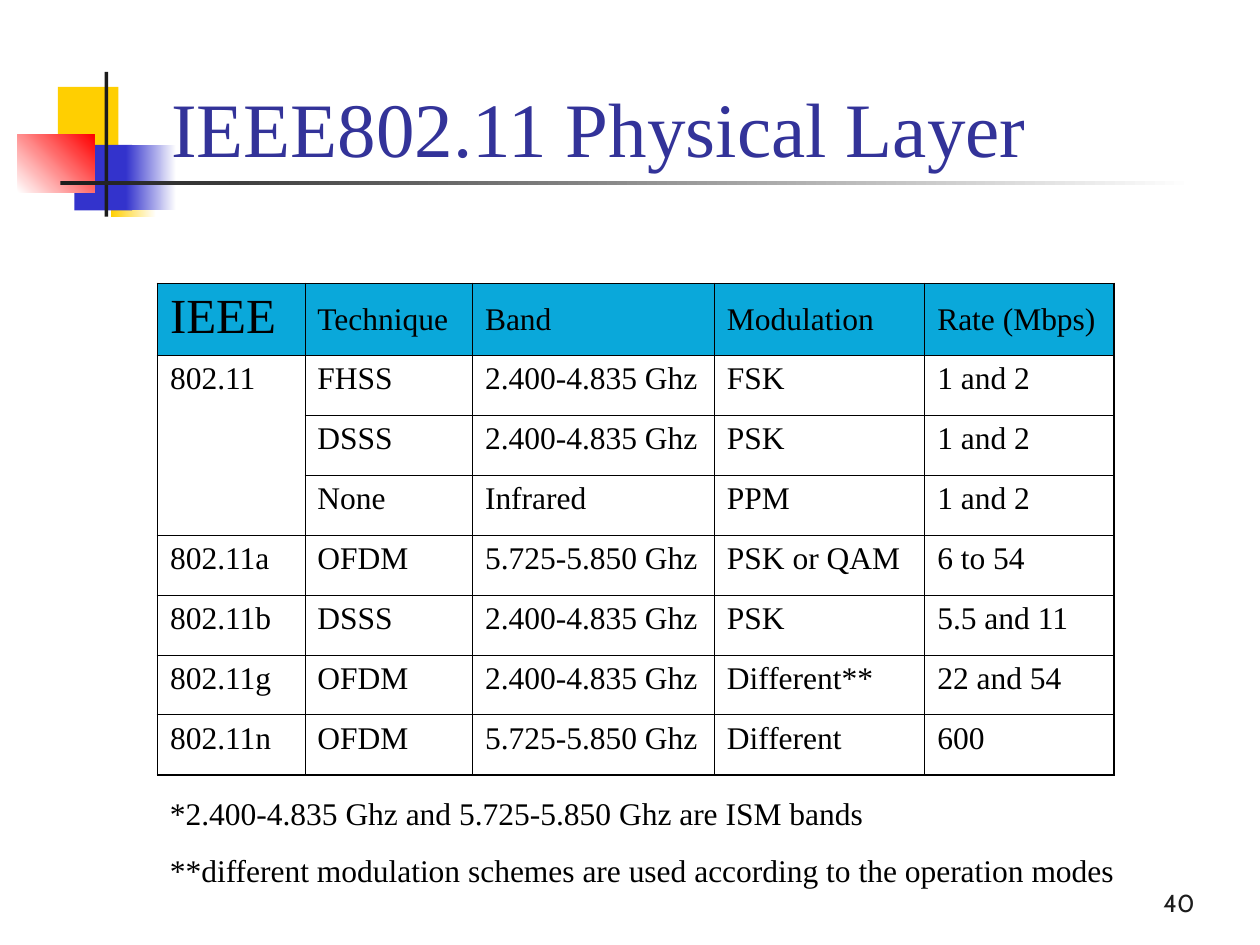
from lxml import etree
from pptx import Presentation
from pptx import util as u
from pptx.dml.color import RGBColor
from pptx.enum import shapes, text
from pptx.oxml import ns

COLORS = {
    "yellow": "FFCF01", "blue": "3333CC", "red": "FF0000", "white": "FFFFFF",
    "dark": "1C1C1C", "title": "333399", "header": "0AA8DA", "black": "000000",
}
SERIF = "Times New Roman"
THIN, THICK = 0.45, 1.08

# Bars and blocks beside the title: box, gradient angle (None = solid), colours
ORNAMENTS = [
    ((0.46, 0.69, 0.48, 0.52), None, ["yellow"]),
    ((0.88, 1.2, 0.36, 0.52), 0, ["yellow", "white"]),
    ((0.59, 1.15, 0.46, 0.52), None, ["blue"]),
    ((1, 1.15, 0.4, 0.52), 0, ["blue", "white"]),
    ((0.14, 1.07, 0.61, 0.46), 45, ["white", "red"]),
    ((0.83, 0.57, 0.03, 1.15), None, ["dark"]),
    ((0.48, 1.44, 9, 0.03), 0, ["dark", "white"]),
]

STANDARDS = [
    ["IEEE", "Technique", "Band", "Modulation", "Rate (Mbps)"],
    ["802.11", "FHSS", "2.400-4.835 Ghz", "FSK", "1 and 2"],
    ["", "DSSS", "2.400-4.835 Ghz", "PSK", "1 and 2"],
    ["", "None", "Infrared", "PPM", "1 and 2"],
    ["802.11a", "OFDM", "5.725-5.850 Ghz", "PSK or QAM", "6 to 54"],
    ["802.11b", "DSSS", "2.400-4.835 Ghz", "PSK", "5.5 and 11"],
    ["802.11g", "OFDM", "2.400-4.835 Ghz", "Different**", "22 and 54"],
    ["802.11n", "OFDM", "5.725-5.850 Ghz", "Different", "600"],
]
COLUMN_WIDTHS = [1.17, 1.33, 1.92, 1.67, 1.5]
HEADER_HEIGHT = 0.57

FOOTNOTES = [
    "*2.400-4.835 Ghz and 5.725-5.850 Ghz are ISM bands",
    "**different modulation schemes are used according to the operation modes",
]


def rgb(name):
    return RGBColor.from_string(COLORS[name])


def inches(box):
    return [u.Inches(length) for length in box]


def write(paragraph, words, size, color="black", font=SERIF, **layout):
    run = paragraph.add_run()
    run.text = words
    for key, value in {"size": u.Pt(size), "name": font}.items():
        setattr(run.font, key, value)
    run.font.color.rgb = rgb(color)
    for key, value in layout.items():
        setattr(paragraph, key, value)


def add_ornaments(slide):
    for box, angle, names in ORNAMENTS:
        block = slide.shapes.add_shape(shapes.MSO_SHAPE.RECTANGLE, *inches(box))
        block.shadow.inherit = False
        block.line.fill.background()
        if angle is None:
            block.fill.solid()
            block.fill.fore_color.rgb = rgb(names[0])
        else:
            block.fill.gradient()
            block.fill.gradient_angle = angle
            for stop, name in zip(block.fill.gradient_stops, names):
                stop.color.rgb = rgb(name)


def place_title(slide, box):
    title = slide.shapes.title
    for key, value in zip(("left", "top", "width", "height"), inches(box)):
        setattr(title, key, value)
    frame_format = {
        "vertical_anchor": text.MSO_ANCHOR.BOTTOM,
        "auto_size": text.MSO_AUTO_SIZE.NONE,
        "word_wrap": True,
    }
    for key, value in frame_format.items():
        setattr(title.text_frame, key, value)
    write(title.text_frame.paragraphs[0], "IEEE802.11 Physical Layer", 44, "title",
          alignment=text.PP_ALIGN.LEFT)
    # Bring the title in front of the ornaments
    slide.shapes._spTree.append(title._element)


def set_borders(cell, widths):
    properties = cell._tc.get_or_add_tcPr()
    for side, width in widths.items():
        line = etree.SubElement(properties, ns.qn(f"a:ln{side}"), w=str(u.Pt(width)))
        fill = etree.SubElement(line, ns.qn("a:solidFill"))
        etree.SubElement(fill, ns.qn("a:srgbClr"), val=COLORS["black"])


def add_standards_table(slide, box):
    last_row, last_col = len(STANDARDS) - 1, len(COLUMN_WIDTHS) - 1
    table = slide.shapes.add_table(last_row + 1, last_col + 1, *inches(box)).table
    for column, width in zip(table.columns, COLUMN_WIDTHS):
        column.width = u.Inches(width)
    for r, row in enumerate(table.rows):
        body_height = (box[3] - HEADER_HEIGHT) / last_row
        row.height = u.Inches(body_height if r else HEADER_HEIGHT)

    for r, values in enumerate(STANDARDS):
        for c, value in enumerate(values):
            cell = table.cell(r, c)
            # Heavier lines on the outer edge
            edges = {"L": c == 0, "R": c == last_col, "T": r == 0, "B": r == last_row}
            set_borders(cell, {s: THICK if outer else THIN for s, outer in edges.items()})
            if r == 0:
                cell.fill.solid()
                cell.fill.fore_color.rgb = rgb("header")
            else:
                cell.fill.background()
            corner = r == c == 0
            if r == 0 and not corner:
                cell.vertical_anchor = text.MSO_ANCHOR.MIDDLE
            if value:
                write(cell.text_frame.paragraphs[0], value, 28 if corner else 18,
                      space_before=u.Pt(7 if corner else 4.5))
    # 802.11 covers three techniques
    table.cell(1, 0).merge(table.cell(3, 0))


def add_footnotes(slide, box):
    frame = slide.shapes.add_textbox(*inches(box)).text_frame
    frame.word_wrap = True
    for i, note in enumerate(FOOTNOTES):
        paragraph = frame.add_paragraph() if i else frame.paragraphs[0]
        write(paragraph, note, 18, space_before=u.Pt(11.2))


def add_page_number(slide, box):
    frame = slide.shapes.add_textbox(*inches(box)).text_frame
    frame.word_wrap = True
    frame.vertical_anchor = text.MSO_ANCHOR.BOTTOM
    write(frame.paragraphs[0], "40", 14, "dark", "Cabin",
          alignment=text.PP_ALIGN.RIGHT)


def main():
    deck = Presentation()
    deck.slide_width, deck.slide_height = u.Inches(10), u.Inches(7.5)
    slide = deck.slides.add_slide(deck.slide_layouts[5])
    add_ornaments(slide)
    place_title(slide, (1.26, 0.17, 8.52, 1.25))
    add_standards_table(slide, (1.25, 2.25, 7.59, 3.9))
    add_footnotes(slide, (1.25, 6.25, 8.17, 0.86))
    add_page_number(slide, (7.5, 6.83, 2.08, 0.5))
    deck.save("out.pptx")


if __name__ == "__main__":
    main()
